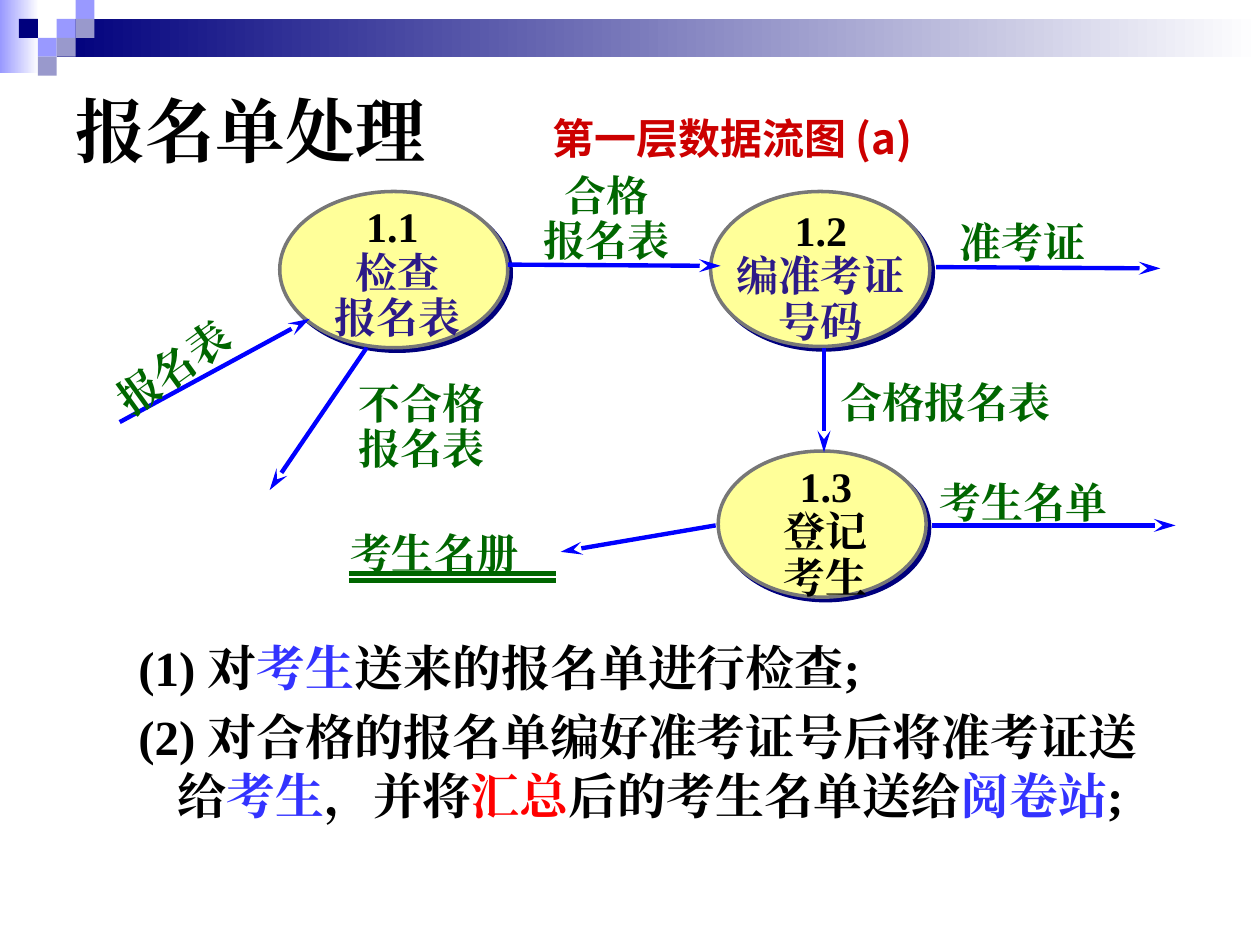
from lxml import etree
from pptx import Presentation, util as u
from pptx.dml.color import RGBColor
from pptx.enum import shapes, text
from pptx.oxml.ns import qn

COLORS = {
    "black": "000000", "white": "FFFFFF", "navy": "00007D", "periwinkle": "9999FF",
    "lavender": "9999CC", "yellow": "FFFF99", "grey": "777777", "flow": "0000FF",
    "green": "006600", "crimson": "CC0000", "indigo": "2C1A88", "blue": "3333FF",
    "red": "FF0000",
}
SERIF, SANS = "Times New Roman", "Noto Sans CJK JP"
CENTER, RIGHT = text.PP_ALIGN.CENTER, text.PP_ALIGN.RIGHT
WIDTH, HEIGHT = u.Inches(10), u.Inches(7.5)
CELL = WIDTH / 100  # the grid has 100 columns and 75 rows
TILE = 1.5          # side of a corner tile, in cells


def rgb(name):
    return RGBColor.from_string(COLORS[name])


def grid(*cells):
    return [round(c * CELL) for c in cells]


def add_rect(s, box, *colors):
    """Borderless rectangle; two colours make a left-to-right gradient."""
    sp = s.shapes.add_shape(shapes.MSO_SHAPE.RECTANGLE, *grid(*box))
    sp.shadow.inherit = False
    sp.line.fill.background()
    if len(colors) == 1:
        sp.fill.solid()
        sp.fill.fore_color.rgb = rgb(colors[0])
        return
    sp.fill.gradient()
    sp.fill.gradient_angle = 0
    for stop, color, place in zip(sp.fill.gradient_stops, colors, (0, 1)):
        stop.color.rgb = rgb(color)
        stop.position = place


def add_process(s, box):
    """Ellipse with a hard navy shadow to the lower right."""
    sp = s.shapes.add_shape(shapes.MSO_SHAPE.OVAL, *grid(*box))
    sp.fill.solid()
    sp.fill.fore_color.rgb = rgb("yellow")
    sp.line.color.rgb = rgb("grey")
    sp.line.width = u.Pt(2)
    sp.shadow.inherit = False
    effects = sp._element.spPr.find(qn("a:effectLst"))
    shadow = etree.SubElement(effects, qn("a:outerShdw"), dist=str(u.Pt(2.8)),
                              dir="2700000", algn="ctr", rotWithShape="0")
    etree.SubElement(shadow, qn("a:srgbClr"), val=COLORS["navy"])


def add_line(s, ends, color, width, arrow=False):
    cxn = s.shapes.add_connector(shapes.MSO_CONNECTOR.STRAIGHT, *grid(*ends))
    cxn.line.color.rgb = rgb(color)
    cxn.line.width = u.Pt(width)
    if arrow:
        etree.SubElement(cxn.line._get_or_add_ln(), qn("a:tailEnd"),
                         type="stealth", w="med", len="lg")
    etree.SubElement(cxn._element.spPr, qn("a:effectLst"))


def add_run(p, words, color, size, font):
    r = p.add_run()
    r.text = words
    r.font.size, r.font.bold, r.font.name = u.Pt(size), True, font
    r.font.color.rgb = rgb(color)
    etree.SubElement(r._r.get_or_add_rPr(), qn("a:ea"), typeface=font)


def add_text(s, box, paragraphs, size=24, font=SERIF, align=None, spacing=None,
             wrap=True, rotation=0, anchor=text.MSO_ANCHOR.TOP):
    """Each paragraph is a list of (words, colour) runs."""
    sp = s.shapes.add_textbox(*grid(*box))
    sp.rotation = rotation
    tf = sp.text_frame
    tf.word_wrap = wrap
    tf.vertical_anchor = anchor
    for i, runs in enumerate(paragraphs):
        p = tf.add_paragraph() if i else tf.paragraphs[0]
        p.alignment, p.line_spacing = align, spacing
        for words, color in runs:
            add_run(p, words, color, size, font)
    return tf


def add_label(s, box, *lines, **options):
    add_text(s, box, [[(line, "green")] for line in lines], **options)


def add_header(s):
    add_rect(s, (0, 0, 3.1, 5.8), "periwinkle", "white")
    add_rect(s, (4.5, 1.5, 95.5, 3), "navy", "white")
    # Corner tiles by column and row
    for col, row, color in [(3, 1, "periwinkle"), (4, 0, "periwinkle"), (4, 1, "lavender"),
                            (2, 2, "periwinkle"), (1, 1, "navy"), (3, 2, "lavender"),
                            (2, 3, "lavender")]:
        add_rect(s, (col * TILE, row * TILE, TILE, TILE), color)


def add_diagram(s):
    add_text(s, (26.9, 8.4, 46.5, 5), [[("第一层数据流图 (a)", "crimson")]],
             font=SANS, align=RIGHT)

    # Processes: ellipse, text box, number, name lines, name colour
    for oval, box, number, names, color in [
        ((22.2, 15.2, 18.1, 12.4), (21.3, 15.9, 20.5, 11.8), "1.1 ", ["检查", "报名表"], "indigo"),
        ((56.4, 15.2, 17.4, 12.3), (56.5, 16.2, 17.3, 11.8), "1.2", ["编准考证号码"], "indigo"),
        ((57, 35.8, 16.5, 11.6), (56.9, 36.5, 17.3, 11.8), "1.3", ["登记", "考生"], "black"),
    ]:
        add_process(s, oval)
        add_text(s, box, [[(number, "black")]] + [[(name, color)] for name in names],
                 align=CENTER, spacing=0.9)

    # Data flows, each pointing at its second end
    for ends in [(9.5, 33.5, 24.6, 25.3), (40.3, 21, 57.2, 21.1), (74.3, 21.2, 92.1, 21.3),
                 (29.1, 27.6, 21.4, 38.9), (65.4, 27.6, 65.4, 35.9),
                 (74, 41.7, 93.3, 41.7), (56.8, 41.7, 44.5, 43.8)]:
        add_line(s, ends, "flow", 2.5, arrow=True)

    # Flow names
    add_label(s, (7.4, 25.5, 15.9, 5), "报名表", rotation=324.2)
    add_label(s, (38.7, 13.4, 18.9, 8.2), "合格", "报名表", align=CENTER, spacing=0.9)
    add_label(s, (75.2, 16.7, 14.9, 5), "准考证")
    add_label(s, (27.5, 29.9, 14.8, 8.2), "不合格", "报名表", spacing=0.9)
    add_label(s, (65.7, 29.4, 18.7, 5), "合格报名表", wrap=False)
    add_label(s, (73.6, 37.3, 18.5, 5), "考生名单")

    # Data store with its double rule
    add_label(s, (26.8, 41.4, 15.3, 5), "考生名册", wrap=False)
    for row in (45.5, 46.1):
        add_line(s, (27.7, row, 44.1, row), "green", 3)


def add_notes_list(s):
    tf = add_text(s, (5, 50.1, 90, 20.5), [
        [("(1) 对", "black"), ("考生", "blue"), ("送来的报名单进行检查;", "black")],
        [("(2) 对合格的报名单编好准考证号后将准考证送给", "black"), ("考生", "blue"),
         ("，并将", "black"), ("汇总", "red"), ("后的考生名单送给", "black"),
         ("阅卷站", "blue"), (";", "black")],
    ], size=28)
    for i, p in enumerate(tf.paragraphs):
        pPr = p._p.get_or_add_pPr()
        pPr.set("marL", str(u.Inches(0.81)))
        pPr.set("indent", str(u.Inches(-0.31)))
        if i:
            p.space_before = u.Pt(6)


def main():
    prs = Presentation()
    prs.slide_width, prs.slide_height = WIDTH, HEIGHT
    s = prs.slides.add_slide(prs.slide_layouts[6])
    add_header(s)
    add_diagram(s)
    add_text(s, (5, 5, 90, 10.5), [[("报名单处理", "black")]], size=40,
             anchor=text.MSO_ANCHOR.MIDDLE)
    add_notes_list(s)
    prs.save("out.pptx")


if __name__ == "__main__":
    main()
